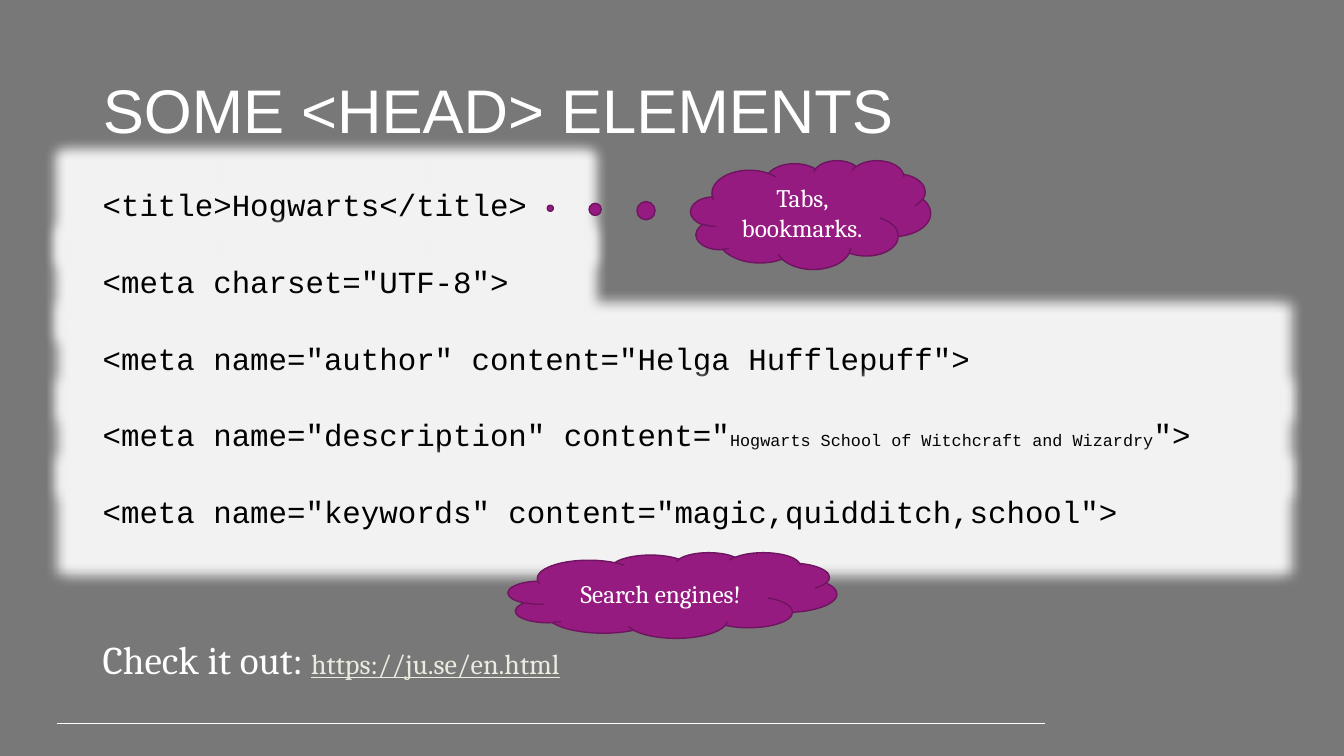
from dataclasses import dataclass

from lxml.etree import SubElement
from pptx import Presentation
from pptx.dml.color import RGBColor
from pptx.enum.shapes import MSO_CONNECTOR, MSO_SHAPE
from pptx.enum.text import MSO_ANCHOR, PP_ALIGN
from pptx.oxml.ns import qn
from pptx.util import Inches, Pt


@dataclass(frozen=True)
class Theme:
    background: str = "787878"
    white: str = "FFFFFF"
    black: str = "000000"
    code_fill: str = "F2F2F2"
    cloud_fill: str = "961B81"
    cloud_line: str = "6F145F"
    link: str = "EBEBDF"
    title_font: str = "Arial"
    body_font: str = "Cambria"
    code_font: str = "Courier New"
    title_size: int = 44
    body_size: int = 28
    code_size: int = 22
    link_size: int = 20
    cloud_size: int = 18
    detail_size: int = 12


@dataclass(frozen=True)
class CodeLine:
    width: float
    pieces: tuple[tuple[str, int], ...]


@dataclass(frozen=True)
class Cloud:
    text: str
    preset: MSO_SHAPE
    left: float
    top: float
    width: float
    height: float
    tail: tuple[float, ...] = ()


THEME = Theme()
LEFT = 0.92
FULL_WIDTH = 11.5
SHORT_WIDTH = 4.63
CODE_TOP = 1.84
CODE_PITCH = 0.76
CODE_HEIGHT = 0.44
GLOW_RADIUS = 0.25

CODE_LINES = (
    CodeLine(SHORT_WIDTH, (("<title>Hogwarts</title>", THEME.code_size),)),
    CodeLine(SHORT_WIDTH, (('<meta charset="UTF-8">', THEME.code_size),)),
    CodeLine(FULL_WIDTH, (('<meta name="author" content="Helga Hufflepuff">', THEME.code_size),)),
    CodeLine(FULL_WIDTH, (
        ('<meta name="description" content="', THEME.code_size),
        ("Hogwarts School of Witchcraft and Wizardry", THEME.detail_size),
        ('">', THEME.code_size),
    )),
    CodeLine(FULL_WIDTH, (('<meta name="keywords" content="magic,quidditch,school">', THEME.code_size),)),
)
CLOUDS = (
    Cloud("Tabs, bookmarks.", MSO_SHAPE.CLOUD_CALLOUT, 6.85, 1.59, 2.38, 1.08, (-1.085, -0.059)),
    Cloud("Search engines!", MSO_SHAPE.CLOUD, 5.04, 5.48, 3.26, 0.85),
)


def color(value: str) -> RGBColor:
    return RGBColor.from_string(value)


def box(left: float, top: float, width: float, height: float) -> tuple:
    return Inches(left), Inches(top), Inches(width), Inches(height)


def add_text(paragraph, text: str, *, size: int, font: str, fill: str,
             underline: bool = False, align=PP_ALIGN.LEFT, spacing: float = 0.9) -> None:
    paragraph.alignment = align
    paragraph.line_spacing = spacing
    run = paragraph.add_run()
    run.text = text
    run.font.size = Pt(size)
    run.font.name = font
    run.font.color.rgb = color(fill)
    run.font.underline = underline


def add_glow(shape, fill: str) -> None:
    effects = shape._element.spPr.find(qn("a:effectLst"))
    glow = SubElement(effects, qn("a:glow"), rad=str(Inches(GLOW_RADIUS)))
    SubElement(glow, qn("a:srgbClr"), val=fill)


def add_filled_shape(slide, preset, bounds: tuple, fill: str):
    shape = slide.shapes.add_shape(preset, *bounds)
    shape.shadow.inherit = False
    shape.fill.solid()
    shape.fill.fore_color.rgb = color(fill)
    return shape


def add_code_line(slide, line: CodeLine, row: int) -> None:
    bounds = box(LEFT, CODE_TOP + row * CODE_PITCH, line.width, CODE_HEIGHT)
    shape = add_filled_shape(slide, MSO_SHAPE.RECTANGLE, bounds, THEME.code_fill)
    shape.line.fill.background()
    add_glow(shape, THEME.code_fill)
    shape.text_frame.vertical_anchor = MSO_ANCHOR.TOP
    for text, size in line.pieces:
        add_text(shape.text_frame.paragraphs[0], text, size=size,
                 font=THEME.code_font, fill=THEME.black)


def add_cloud(slide, cloud: Cloud) -> None:
    bounds = box(cloud.left, cloud.top, cloud.width, cloud.height)
    shape = add_filled_shape(slide, cloud.preset, bounds, THEME.cloud_fill)
    shape.line.color.rgb = color(THEME.cloud_line)
    shape.line.width = Pt(1)
    for index, value in enumerate(cloud.tail):
        shape.adjustments[index] = value
    shape.text_frame.vertical_anchor = MSO_ANCHOR.MIDDLE
    add_text(shape.text_frame.paragraphs[0], cloud.text, size=THEME.cloud_size,
             font=THEME.body_font, fill=THEME.white, align=PP_ALIGN.CENTER, spacing=1.0)


def add_title(slide) -> None:
    title = slide.shapes.title
    title.left, title.top, title.width, title.height = box(LEFT, 0.4, FULL_WIDTH, 1.45)
    title.text_frame.vertical_anchor = MSO_ANCHOR.MIDDLE
    add_text(title.text_frame.paragraphs[0], "SOME <HEAD> ELEMENTS",
             size=THEME.title_size, font=THEME.title_font, fill=THEME.white)


def add_footer_rule(slide) -> None:
    rule = slide.shapes.add_connector(
        MSO_CONNECTOR.STRAIGHT, Inches(0.57), Inches(7.18), Inches(10.36), Inches(7.18))
    rule.line.color.rgb = color(THEME.white)
    rule.line.width = Pt(0.75)
    SubElement(rule._element.spPr, qn("a:effectLst"))


def add_reference(slide) -> None:
    frame = slide.shapes.add_textbox(*box(LEFT, 6.31, FULL_WIDTH, 0.53)).text_frame
    frame.word_wrap = True
    paragraph = frame.paragraphs[0]
    add_text(paragraph, "Check it out: ", size=THEME.body_size,
             font=THEME.body_font, fill=THEME.white)
    add_text(paragraph, "https://ju.se/en.html", size=THEME.link_size,
             font=THEME.body_font, fill=THEME.link, underline=True)


def main() -> None:
    presentation = Presentation()
    presentation.slide_width = Inches(13.33)
    presentation.slide_height = Inches(7.5)
    slide = presentation.slides.add_slide(presentation.slide_layouts[5])
    slide.background.fill.solid()
    slide.background.fill.fore_color.rgb = color(THEME.background)

    add_footer_rule(slide)
    add_title(slide)
    for row, line in enumerate(CODE_LINES):
        add_code_line(slide, line, row)
    for cloud in CLOUDS:
        add_cloud(slide, cloud)
    add_reference(slide)
    presentation.save("out.pptx")


if __name__ == "__main__":
    main()
